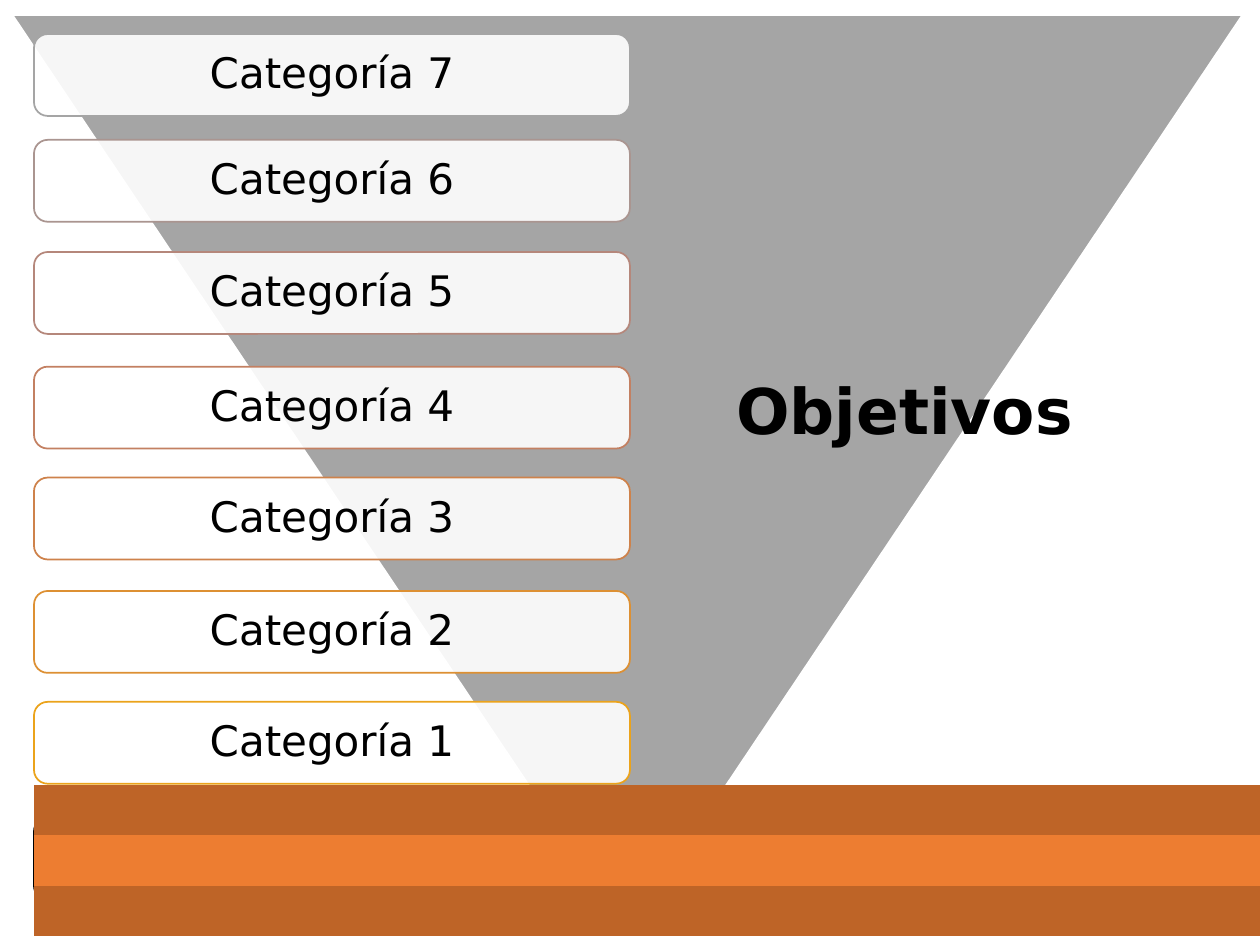
import pptx
import pptx.util
import pptx.dml.color
import pptx.enum.shapes
import pptx.enum.text
import pptx.oxml
import pptx.oxml.ns

Inches = pptx.util.Inches
Pt = pptx.util.Pt
shape_types = pptx.enum.shapes.MSO_SHAPE
center = pptx.enum.text.PP_ALIGN.CENTER
middle = pptx.enum.text.MSO_ANCHOR.MIDDLE


def color(value):
    return pptx.dml.color.RGBColor.from_string(value)


def add_text(paragraph, text, size, bold=False):
    paragraph.alignment = center
    run = paragraph.add_run()
    run.text = text
    run.font.name = "DejaVu Sans"
    run.font.size = Pt(size)
    run.font.bold = bold
    run.font.color.rgb = color("000000")


presentation = pptx.Presentation()
presentation.slide_width = Inches(10)
presentation.slide_height = Inches(7.5)
slide = presentation.slides.add_slide(presentation.slide_layouts[6])

triangle = slide.shapes.add_shape(
    shape_types.ISOSCELES_TRIANGLE, Inches(0.1), Inches(0.12), Inches(9.76), Inches(7.28))
triangle.rotation = 180
triangle.shadow.inherit = False
triangle.fill.solid()
triangle.fill.fore_color.rgb = color("A5A5A5")
triangle.line.color.rgb = color("FFFFFF")
triangle.line.width = Pt(1)

categories = [
    ("Categoría 7", 0.27, "A5A5A5"),
    ("Categoría 6", 1.11, "AA9590"),
    ("Categoría 5", 2, "B5877B"),
    ("Categoría 4", 2.91, "C38062"),
    ("Categoría 3", 3.79, "CE824B"),
    ("Categoría 2", 4.69, "DD9033"),
    ("Categoría 1", 5.57, "EBA31B"),
    ("", 6.49, "000000"),
]
for label, top, line_color in categories:
    box = slide.shapes.add_shape(
        shape_types.ROUNDED_RECTANGLE, Inches(0.27), Inches(top), Inches(4.73), Inches(0.65))
    box.shadow.inherit = False
    box.fill.solid()
    box.fill.fore_color.rgb = color("FFFFFF")
    box.line.color.rgb = color(line_color)
    box.line.width = Pt(1)
    if label:
        fill_color = box.fill._xPr.find(".//" + pptx.oxml.ns.qn("a:srgbClr"))
        fill_color.append(pptx.oxml.parse_xml(
            f'<a:alpha {pptx.oxml.ns.nsdecls("a")} val="90000"/>'))
        box.text_frame.vertical_anchor = middle
        paragraph = box.text_frame.paragraphs[0]
        paragraph.line_spacing = 0.9
        add_text(paragraph, label, 24)

title = slide.shapes.add_textbox(Inches(5.73), Inches(2.9), Inches(2.9), Inches(0.71))
title.text_frame.word_wrap = False
add_text(title.text_frame.paragraphs[0], "Objetivos", 36, bold=True)

row_colors = ["BE6427", "ED7D31", "BE6427"]
table = slide.shapes.add_table(
    3, 3, Inches(0.27), Inches(6.23), Inches(9.73), Inches(1.2)).table
table.first_row = False
table.horz_banding = False
style = table._tbl.tblPr.find(pptx.oxml.ns.qn("a:tableStyleId"))
style.text = "{2D5ABB26-0587-4C30-8999-92F81FD0307C}"
for row, row_color in zip(table.rows, row_colors):
    row.height = Inches(0.4)
    for cell in row.cells:
        cell.margin_top = cell.margin_bottom = Inches(0.04)
        cell.fill.solid()
        cell.fill.fore_color.rgb = color(row_color)

presentation.save("out.pptx")
